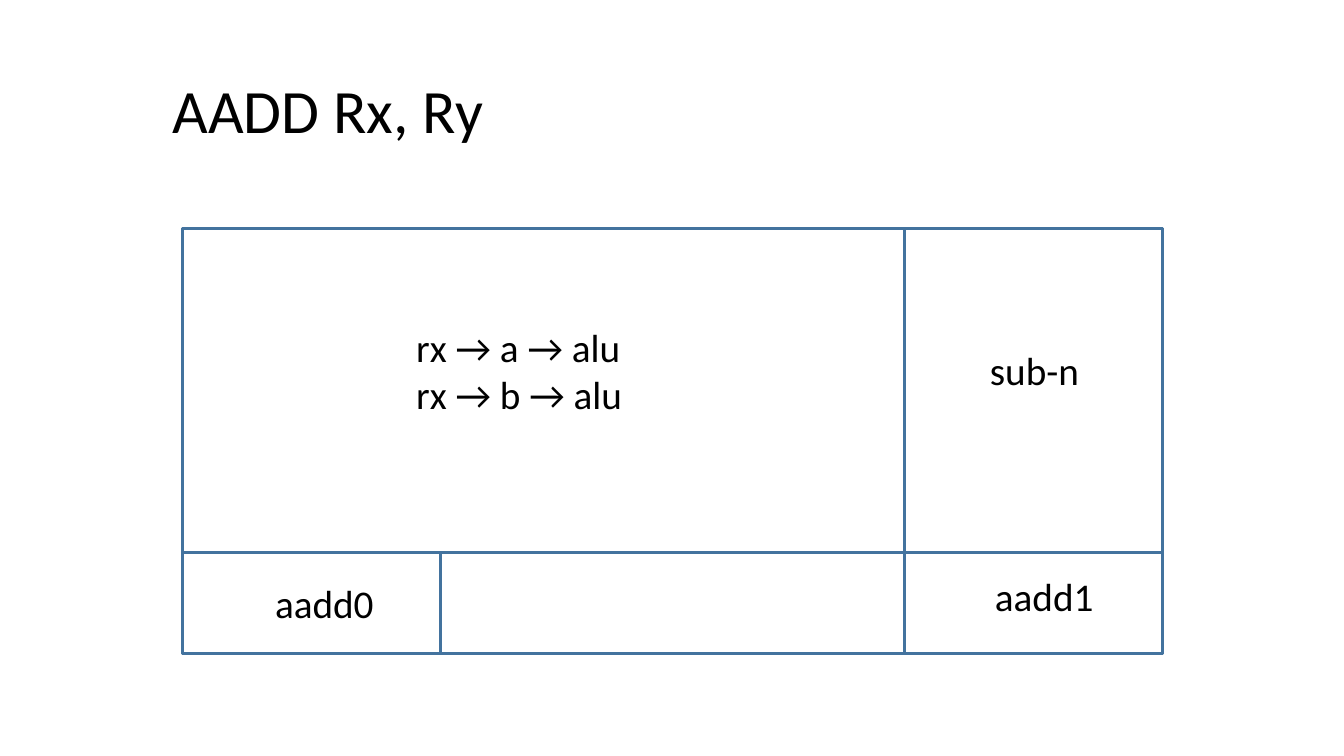
from dataclasses import dataclass

from pptx import Presentation
from pptx.dml.color import RGBColor
from pptx.enum.shapes import MSO_SHAPE
from pptx.enum.text import MSO_ANCHOR
from pptx.util import Inches, Pt

RECTANGLE = MSO_SHAPE.RECTANGLE
TOP, MIDDLE = MSO_ANCHOR.TOP, MSO_ANCHOR.MIDDLE


@dataclass(frozen=True)
class Theme:
    font: str = "Calibri"
    ink: RGBColor = RGBColor(0x00, 0x00, 0x00)
    paper: RGBColor = RGBColor(0xFF, 0xFF, 0xFF)
    border: RGBColor = RGBColor(0x43, 0x73, 0x9E)
    border_width: float = 2.25
    title_size: int = 44
    label_size: int = 28


THEME = Theme()


def add_text(slide, box, lines, size, anchor=TOP, indent=0.1, spacing=1.0, wrap=False):
    """Place left-aligned lines in a box; indent is the left inset in inches."""
    frame = slide.shapes.add_textbox(*map(Inches, box)).text_frame
    frame.word_wrap = wrap
    frame.vertical_anchor = anchor
    frame.margin_left = Inches(indent)
    for index, line in enumerate(lines):
        paragraph = frame.paragraphs[0] if index == 0 else frame.add_paragraph()
        paragraph.line_spacing = spacing
        run = paragraph.add_run()
        run.text = line
        run.font.name = THEME.font
        run.font.size = Pt(size)
        run.font.color.rgb = THEME.ink


def add_cell(slide, box):
    cell = slide.shapes.add_shape(RECTANGLE, *map(Inches, box))
    cell.shadow.inherit = False
    cell.fill.solid()
    cell.fill.fore_color.rgb = THEME.paper
    cell.line.color.rgb = THEME.border
    cell.line.width = Pt(THEME.border_width)


def add_title(slide, box):
    add_text(slide, box, ["AADD Rx, Ry"], THEME.title_size,
             anchor=MIDDLE, indent=0.79, spacing=0.9, wrap=True)


def add_microstate(slide, box):
    """Draw the state box: operations above, state names along the bottom."""
    left, top, width, height = box
    side_width, footer_height = 2.56, 1.0
    body_height = height - footer_height
    side_left = left + width - side_width
    footer_top = top + body_height

    for cell in (
        box,
        (left, footer_top, width, footer_height),
        (left, footer_top, side_width, footer_height),
        (side_left, footer_top, side_width, footer_height),
        (side_left, top, side_width, body_height),
    ):
        add_cell(slide, cell)

    for label_box, lines in (
        ((left + 2.22, top + 0.89, 2.4, 1.04), ["rx → a → alu", "rx → b → alu"]),
        ((side_left + 0.8, footer_top + 0.15, 1.19, 0.57), ["aadd1"]),
        ((left + 0.82, footer_top + 0.22, 1.19, 0.57), ["aadd0"]),
        ((side_left + 0.75, top + 1.12, 1.24, 0.57), ["sub-n"]),
    ):
        add_text(slide, label_box, lines, THEME.label_size)


def main():
    deck = Presentation()
    deck.slide_width, deck.slide_height = Inches(13.33), Inches(7.5)
    slide = deck.slides.add_slide(deck.slide_layouts[6])
    add_title(slide, (0.92, 0.4, 11.5, 1.45))
    add_microstate(slide, (1.81, 2.27, 9.72, 4.21))
    deck.save("out.pptx")


if __name__ == "__main__":
    main()
